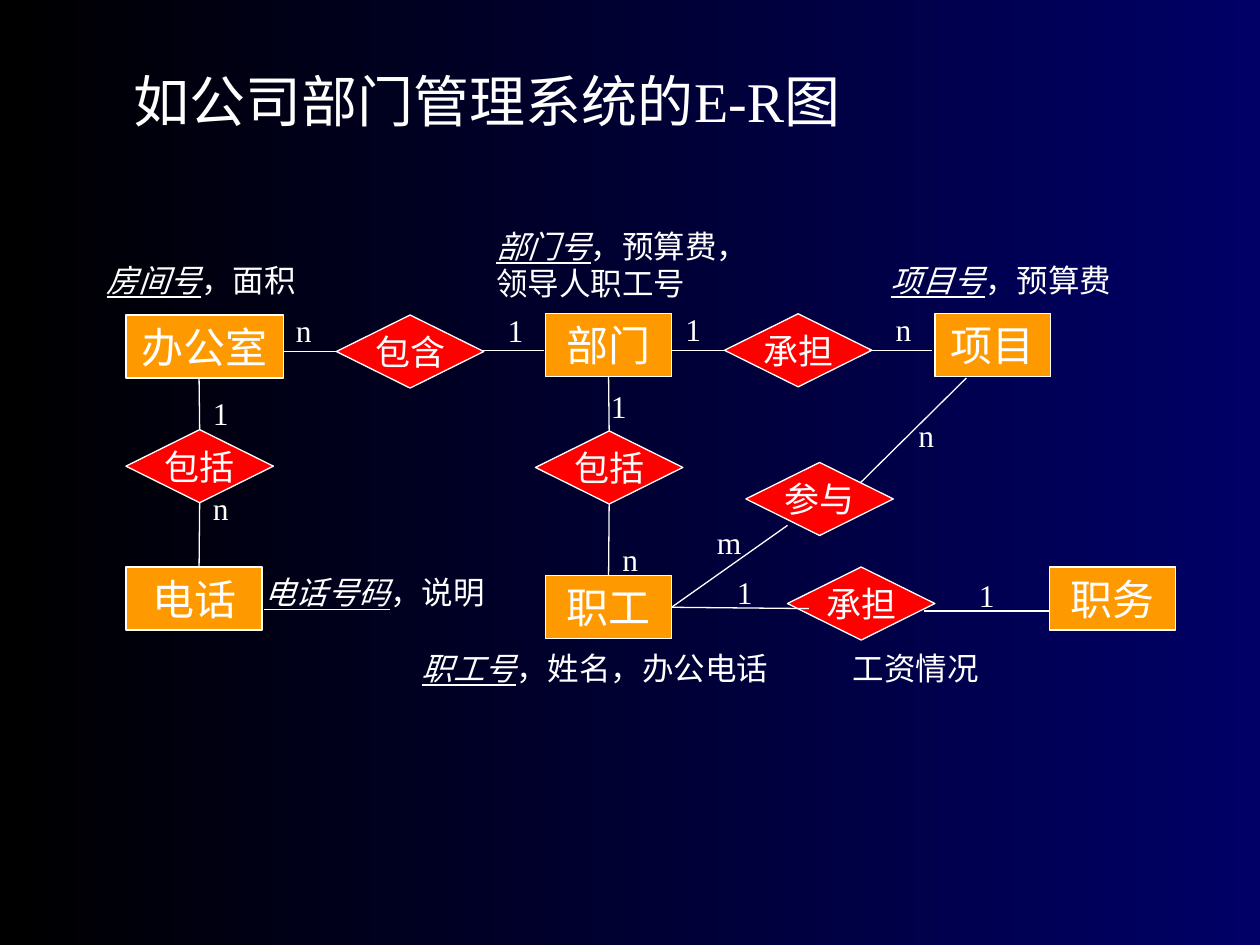
from lxml.etree import SubElement
from pptx import Presentation
from pptx.dml.color import RGBColor
from pptx.enum.shapes import MSO_CONNECTOR, MSO_SHAPE
from pptx.enum.text import MSO_ANCHOR, MSO_AUTO_SIZE, PP_ALIGN
from pptx.oxml.ns import qn
from pptx.util import Inches, Pt

COLORS = {
    "white": "FFFFFF",
    "entity": "FF9900",
    "relation": "FF0000",
    "navy": "000066",
    "black": "000000",
}
TOP, LEFT, BOTTOM, RIGHT = range(4)


class DiagramSlide:
    """Draws the parts of an entity-relationship diagram on one slide."""

    font_name = "Times New Roman"
    line_width = Pt(0.75)
    diamond_size = (1.17, 0.58)
    entity_height = 0.5

    def __init__(self, slide):
        self.slide = slide

    def color(self, name):
        return RGBColor.from_string(COLORS[name])

    def background(self, first, last, angle):
        fill = self.slide.background.fill
        fill.gradient()
        fill.gradient_angle = angle
        for stop, name, position in zip(fill.gradient_stops, (first, last), (0, 1)):
            stop.color.rgb = self.color(name)
            stop.position = position

    def add_run(self, paragraph, text, size, key=False):
        run = paragraph.add_run()
        run.text = text
        run.font.name = self.font_name
        run.font.size = Pt(size)
        run.font.color.rgb = self.color("white")
        if key:
            run.font.italic = True
            run.font.underline = True

    def node(self, kind, box, fill, text, size):
        shape = self.slide.shapes.add_shape(kind, *map(Inches, box))
        shape.shadow.inherit = False
        shape.fill.solid()
        shape.fill.fore_color.rgb = self.color(fill)
        shape.line.color.rgb = self.color("white")
        shape.line.width = self.line_width
        paragraph = shape.text_frame.paragraphs[0]
        paragraph.alignment = PP_ALIGN.CENTER
        self.add_run(paragraph, text, size)
        return shape

    def entity(self, text, left, top, width=1):
        box = (left, top, width, self.entity_height)
        shape = self.node(MSO_SHAPE.RECTANGLE, box, "entity", text, 24)
        frame = shape.text_frame
        frame.word_wrap = True
        frame.vertical_anchor = MSO_ANCHOR.TOP
        frame.auto_size = MSO_AUTO_SIZE.SHAPE_TO_FIT_TEXT
        frame.paragraphs[0].space_before = Pt(15)
        return shape

    def relation(self, text, left, top):
        box = (left, top, *self.diamond_size)
        shape = self.node(MSO_SHAPE.DIAMOND, box, "relation", text, 20)
        shape.text_frame.word_wrap = False
        shape.text_frame.vertical_anchor = MSO_ANCHOR.MIDDLE
        return shape

    def label(self, box, *lines, size=18, alignment=PP_ALIGN.LEFT):
        """Each line is a pair of underlined key text and plain text."""
        frame = self.slide.shapes.add_textbox(*map(Inches, box)).text_frame
        frame.word_wrap = False
        frame.auto_size = MSO_AUTO_SIZE.SHAPE_TO_FIT_TEXT
        for index, (key, plain) in enumerate(lines):
            paragraph = frame.add_paragraph() if index else frame.paragraphs[0]
            paragraph.alignment = alignment
            if key:
                self.add_run(paragraph, key, size, key=True)
            self.add_run(paragraph, plain, size)

    def cardinality(self, text, left, top, width=0.32):
        self.label((left, top, width, 0.4), ("", text), alignment=PP_ALIGN.CENTER)

    def link(self, start, end, source=None, target=None):
        connector = self.slide.shapes.add_connector(
            MSO_CONNECTOR.STRAIGHT, *map(Inches, (*start, *end))
        )
        connector.line.color.rgb = self.color("white")
        connector.line.width = self.line_width
        SubElement(connector._element.spPr, qn("a:effectLst"))
        if source:
            connector.begin_connect(*source)
        if target:
            connector.end_connect(*target)


def main():
    presentation = Presentation()
    presentation.slide_width = Inches(10)
    presentation.slide_height = Inches(7.5)
    diagram = DiagramSlide(presentation.slides.add_slide(presentation.slide_layouts[6]))
    diagram.background("navy", "black", 180)

    diagram.label((0.96, 0.48, 6.02, 0.64), ("", "如公司部门管理系统的E-R图"), size=32)

    diagram.entity("办公室", 1, 2.5, 1.25)
    department = diagram.entity("部门", 4.33, 2.49)
    diagram.entity("项目", 7.42, 2.49, 0.92)
    diagram.entity("电话", 1, 4.5, 1.08)
    employee = diagram.entity("职工", 4.33, 4.57)
    diagram.entity("职务", 8.33, 4.5)

    contains_department = diagram.relation("包含", 2.67, 2.5)
    undertakes_project = diagram.relation("承担", 5.75, 2.49)
    includes_phone = diagram.relation("包括", 1, 3.41)
    includes_employee = diagram.relation("包括", 4.25, 3.42)
    diagram.relation("参与", 5.92, 3.67)
    diagram.relation("承担", 6.25, 4.5)

    links = [
        ((2.25, 2.79), (2.67, 2.79), None, (contains_department, LEFT)),
        ((3.82, 2.78), (4.32, 2.78)),
        ((5.33, 2.78), (5.75, 2.78), None, (undertakes_project, LEFT)),
        ((6.9, 2.78), (7.4, 2.78)),
        ((1.58, 3), (1.58, 3.41), None, (includes_phone, TOP)),
        ((1.58, 3.99), (1.58, 4.5), (includes_phone, BOTTOM)),
        ((4.83, 2.99), (4.83, 3.42), (department, BOTTOM), (includes_employee, TOP)),
        ((4.83, 4), (4.83, 4.57), (includes_employee, BOTTOM), (employee, TOP)),
        ((5.33, 4.83), (6.25, 4.17), (employee, RIGHT)),
        ((6.83, 3.83), (7.67, 3)),
        ((5.33, 4.83), (6.42, 4.83), (employee, RIGHT)),
        ((7.33, 4.85), (8.33, 4.85)),
    ]
    for link in links:
        diagram.link(*link)

    cardinalities = [
        ("n", 2.25, 2.42), ("1", 3.93, 2.42),
        ("1", 5.34, 2.41), ("n", 7.01, 2.41),
        ("1", 1.59, 3.08), ("n", 1.59, 3.83),
        ("1", 4.75, 3.02), ("n", 4.84, 4.24),
        ("m", 5.59, 4.1, 0.39), ("n", 7.19, 3.25),
        ("1", 5.75, 4.5), ("1", 7.67, 4.52),
    ]
    for cardinality in cardinalities:
        diagram.cardinality(*cardinality)

    diagram.label((0.75, 2.02, 1.7, 0.4), ("房间号", "，面积"))
    diagram.label((3.84, 1.75, 2.2, 0.7), ("部门号", "，预算费，"), ("", "领导人职工号"))
    diagram.label((6.97, 2.02, 1.95, 0.4), ("项目号", "，预算费"))
    diagram.label((2, 4.5, 1.95, 0.4), ("电话号码", "，说明"))
    diagram.label((3.25, 5.1, 2.95, 0.4), ("职工号", "，姓名，办公电话"))
    diagram.label((6.67, 5.1, 1.2, 0.4), ("", "工资情况"))

    presentation.save("out.pptx")


if __name__ == "__main__":
    main()
